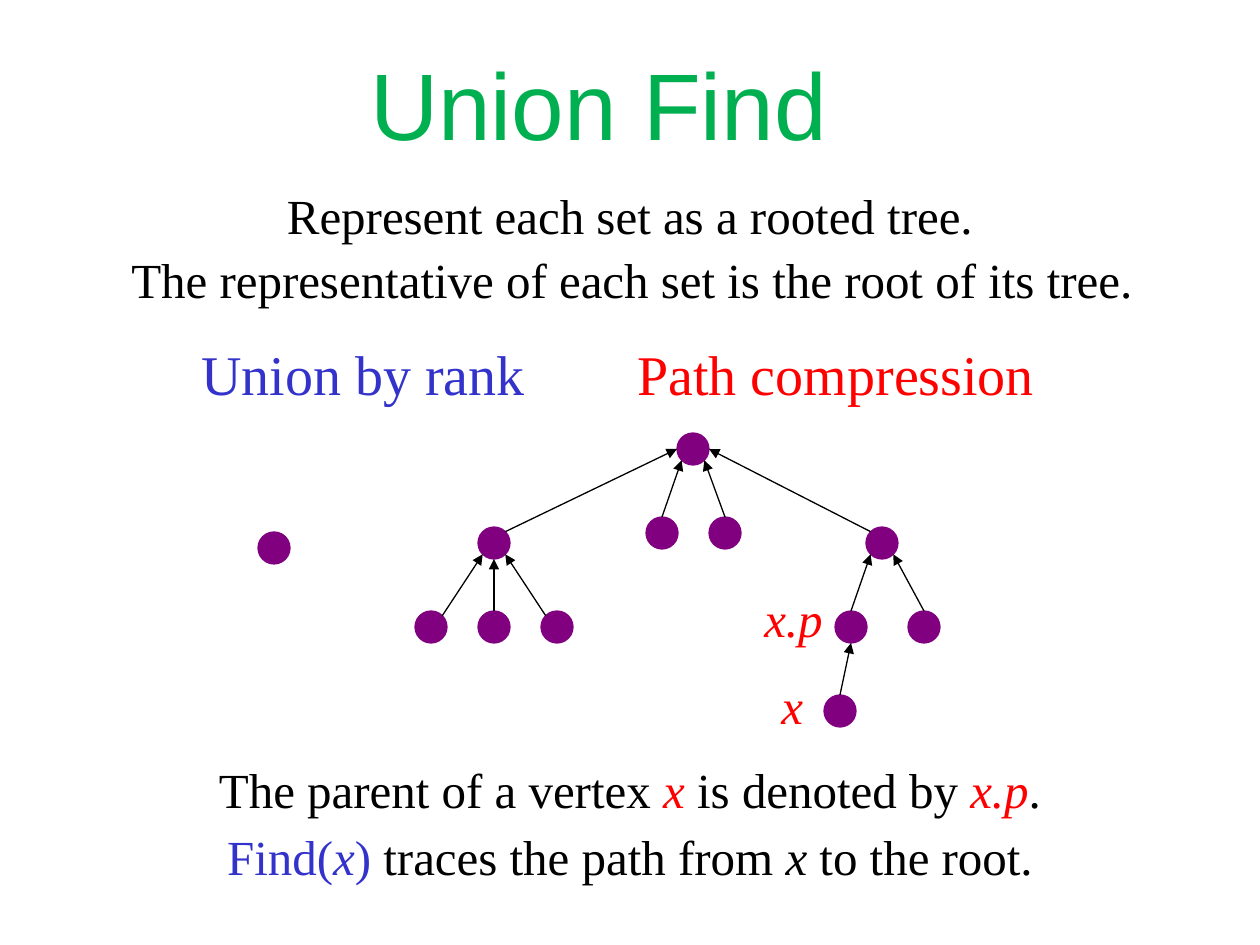
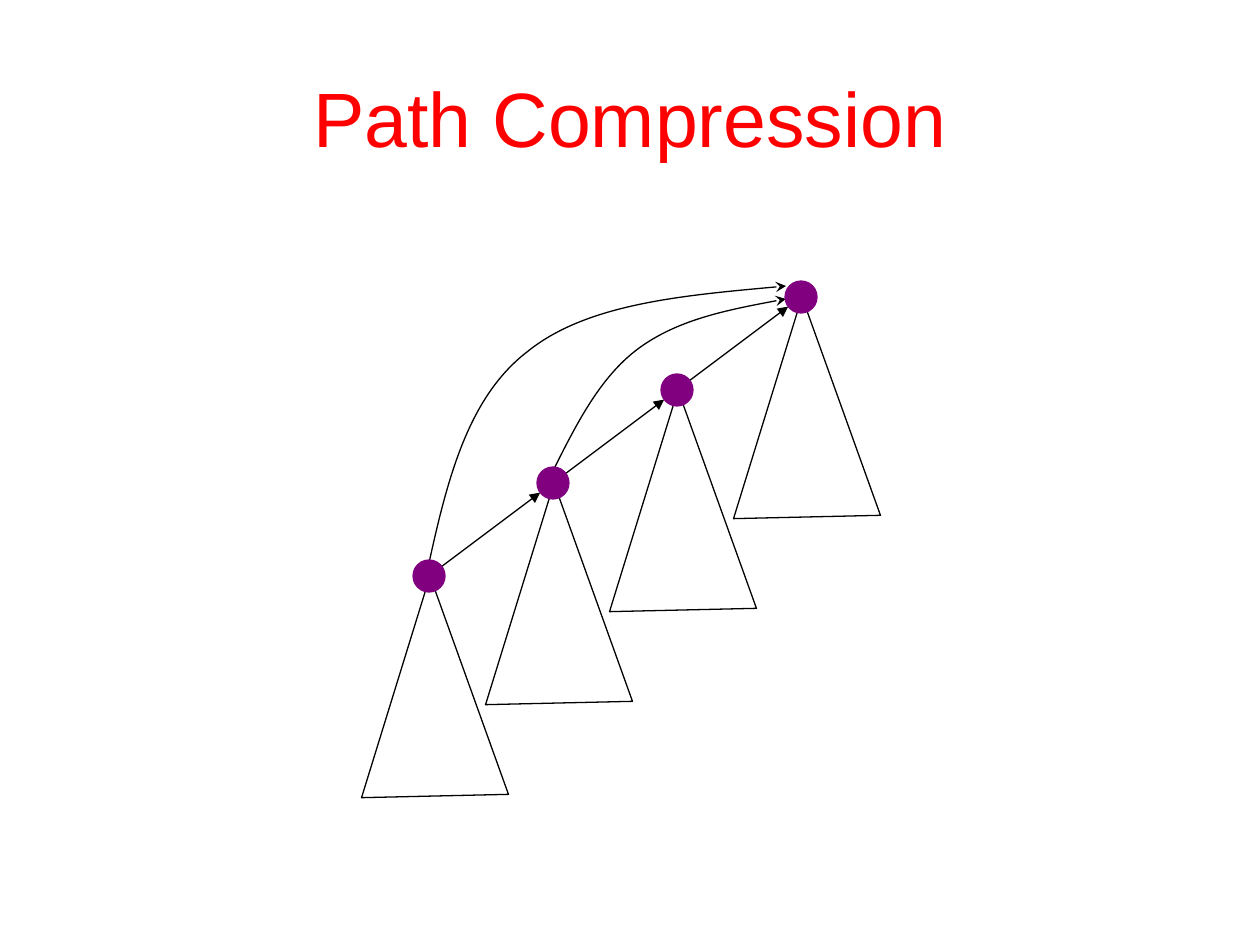
"""Build two slides on union-find trees and path compression."""
from dataclasses import dataclass
from math import cos, hypot, radians, sin

from pptx import Presentation
from pptx.dml.color import RGBColor
from pptx.enum.shapes import MSO_CONNECTOR, MSO_SHAPE
from pptx.enum.text import MSO_ANCHOR, MSO_AUTO_SIZE, PP_ALIGN
from pptx.oxml.ns import qn
from pptx.util import Pt

OVAL, TRIANGLE = MSO_SHAPE.OVAL, MSO_SHAPE.ISOSCELES_TRIANGLE
STRAIGHT = MSO_CONNECTOR.STRAIGHT
LEFT, CENTER = PP_ALIGN.LEFT, PP_ALIGN.CENTER
TOP, MIDDLE = MSO_ANCHOR.TOP, MSO_ANCHOR.MIDDLE
NO_FIT = MSO_AUTO_SIZE.NONE
PX = 914400 / 126
TITLE_ONLY = 5


@dataclass(frozen=True)
class Theme:
    black: str = "000000"
    green: str = "00B050"
    blue: str = "3333CC"
    red: str = "FF0000"
    purple: str = "800080"
    title_font: str = "Arial"
    body_font: str = "Times New Roman"
    text: int = 28
    heading: int = 32
    subtitle: int = 44
    main_title: int = 54
    line: float = 0.75


T = Theme()
RADIUS = 16

TITLES = [
    ("Union Find", T.main_title, T.green, (252, 24, 693, 158)),
    ("Path Compression", T.subtitle, T.red, (0, 38, 1260, 158)),
]

TEXTS = [
    ((0, 179, 1260, 84), CENTER, T.text,
     [("Represent each set as a rooted tree.", T.black, False)]),
    ((2, 243, 1260, 84), CENTER, T.text,
     [("The representative of each set is the root of its tree.", T.black, False)]),
    ((189, 333, 378, 84), LEFT, T.heading, [("Union by rank", T.blue, False)]),
    ((625, 333, 483, 84), LEFT, T.heading, [("Path compression", T.red, False)]),
    ((752, 582, 123, 72), LEFT, T.text, [("x.p", T.red, True)]),
    ((769, 669, 49, 72), LEFT, T.text, [("x", T.red, True)]),
    ((0, 753, 1260, 72), CENTER, T.text,
     [("The parent of a vertex ", T.black, False), ("x", T.red, True),
      (" is denoted by ", T.black, False), ("x.p", T.red, True),
      (".", T.black, False)]),
    ((0, 820, 1260, 72), CENTER, T.text,
     [("Find(", T.blue, False), ("x", T.blue, True), (")", T.blue, False),
      (" traces the path from ", T.black, False), ("x", T.black, True),
      (" to the root.", T.black, False)]),
]

VERTICES = {
    "single": (274, 548), "root": (693, 449),
    "left": (494, 543), "right": (882, 543),
    "mid1": (662, 533), "mid2": (725, 533),
    "leaf1": (431, 627), "leaf2": (494, 627), "leaf3": (557, 627),
    "x.p": (851, 627), "leaf4": (924, 627), "x": (840, 711),
}

ANGLES = {"E": 0, "SE": 45, "S": 90, "SW": 135, "W": 180,
          "NW": 225, "N": 270, "NE": 315}

EDGES = [
    ("leaf1", "NE", "left", "SW"), ("leaf2", "N", "left", "S"),
    ("leaf3", "NW", "left", "SE"), ("mid1", "N", "root", "SW"),
    ("mid2", "N", "root", "SE"), ("left", "NE", "root", "W"),
    ("right", "NW", "root", "E"), ("x.p", "N", "right", "SW"),
    ("leaf4", "N", "right", "SE"), ("x", "N", "x.p", "S"),
]

PATH_ROOT, PATH_STEP, PATH_LENGTH = (801, 297), (-124, 93), 4
SUBTREE_SHIFT, SUBTREE_SIZE, SUBTREE_TURN = -70, (147, 220), 358.7
SHORTCUTS = [
    [(551, 475), (575, 427), (599, 378), (638, 349),
     (677, 320), (732, 309), (786, 299)],
    [(427, 572), (446, 485), (466, 399), (527, 352),
     (586, 304), (687, 295), (786, 286)],
]


def px(*values):
    """Convert pixels to EMU."""
    return [round(v * PX) for v in values]


def write(tf, runs, size, font, align, anchor):
    """Fill a text frame with one paragraph of runs."""
    tf.word_wrap = True
    tf.auto_size = NO_FIT
    tf.vertical_anchor = anchor
    p = tf.paragraphs[0]
    p.alignment = align
    for text, color, italic in runs:
        r = p.add_run()
        r.text = text
        r.font.size = Pt(size)
        r.font.name = font
        r.font.italic = italic
        r.font.color.rgb = RGBColor.from_string(color)


def add_slide(prs, title, size, color, box):
    """Add a slide with a formatted title."""
    s = prs.slides.add_slide(prs.slide_layouts[TITLE_ONLY])
    sp = s.shapes.title
    sp.left, sp.top, sp.width, sp.height = px(*box)
    write(sp.text_frame, [(title, color, False)], size, T.title_font, CENTER, MIDDLE)
    return s


def set_line(sp, color, head=None):
    """Set a line's colour and width, and an optional arrowhead."""
    sp.line.color.rgb = RGBColor.from_string(color)
    sp.line.width = Pt(T.line)
    if head:
        ln = sp.element.spPr.find(qn("a:ln"))
        ln.append(ln.makeelement(qn("a:tailEnd"), {"type": head}))


def add_vertex(s, center):
    """Draw a vertex around its centre."""
    x, y = center
    sp = s.shapes.add_shape(OVAL, *px(x - RADIUS, y - RADIUS, 2 * RADIUS, 2 * RADIUS))
    sp.shadow.inherit = False
    sp.fill.solid()
    sp.fill.fore_color.rgb = RGBColor.from_string(T.purple)
    set_line(sp, T.purple)


def add_arrow(s, start, end):
    """Draw a straight arrow."""
    c = s.shapes.add_connector(STRAIGHT, *px(*start, *end))
    set_line(c, T.black, "triangle")
    sp_pr = c.element.spPr
    sp_pr.append(sp_pr.makeelement(qn("a:effectLst"), {}))


def add_subtree(s, apex):
    """Draw a slightly turned triangle below a vertex."""
    x, y = apex
    sp = s.shapes.add_shape(TRIANGLE, *px(x + SUBTREE_SHIFT, y, *SUBTREE_SIZE))
    sp.rotation = SUBTREE_TURN
    sp.shadow.inherit = False
    sp.fill.background()
    set_line(sp, T.black)


def add_curve(s, points):
    """Draw a cubic Bézier arrow by merging each three segments into one."""
    fb = s.shapes.build_freeform(*points[0], scale=PX)
    fb.add_line_segments(points[1:], close=False)
    sp = fb.convert_to_shape()
    sp.shadow.inherit = False
    sp.fill.background()
    set_line(sp, T.black, "stealth")
    segments = list(sp.element.iter(qn("a:lnTo")))
    for i in range(0, len(segments), 3):
        curve = segments[i].makeelement(qn("a:cubicBezTo"), {})
        segments[i].addprevious(curve)
        for segment in segments[i:i + 3]:
            curve.append(segment[0])
            segment.getparent().remove(segment)


def site(vertex, side):
    """Return the point on a vertex's rim at a compass side."""
    x, y = VERTICES[vertex]
    a = radians(ANGLES[side])
    return x + RADIUS * cos(a), y + RADIUS * sin(a)


def draw_tree(s):
    """Draw the rooted trees and the text around them."""
    for box, align, size, runs in TEXTS:
        tf = s.shapes.add_textbox(*px(*box)).text_frame
        write(tf, runs, size, T.body_font, align, TOP)
    for center in VERTICES.values():
        add_vertex(s, center)
    for child, child_side, parent, parent_side in EDGES:
        add_arrow(s, site(child, child_side), site(parent, parent_side))


def draw_compression(s):
    """Draw a path with its subtrees and the shortcuts to the root."""
    (x, y), (dx, dy) = PATH_ROOT, PATH_STEP
    chain = [(x + i * dx, y + i * dy) for i in range(PATH_LENGTH)]
    ux, uy = (RADIUS * d / hypot(dx, dy) for d in PATH_STEP)
    for center in chain:
        add_subtree(s, center)
    for (px_, py_), (cx, cy) in zip(chain, chain[1:]):
        add_arrow(s, (cx - ux, cy - uy), (px_ + ux, py_ + uy))
    for points in SHORTCUTS:
        add_curve(s, points)
    for center in chain:
        add_vertex(s, center)


def main():
    """Build and save the presentation."""
    prs = Presentation()
    prs.slide_width, prs.slide_height = px(1260, 945)
    for title, draw in zip(TITLES, (draw_tree, draw_compression)):
        draw(add_slide(prs, *title))
    prs.save("out.pptx")


if __name__ == "__main__":
    main()
